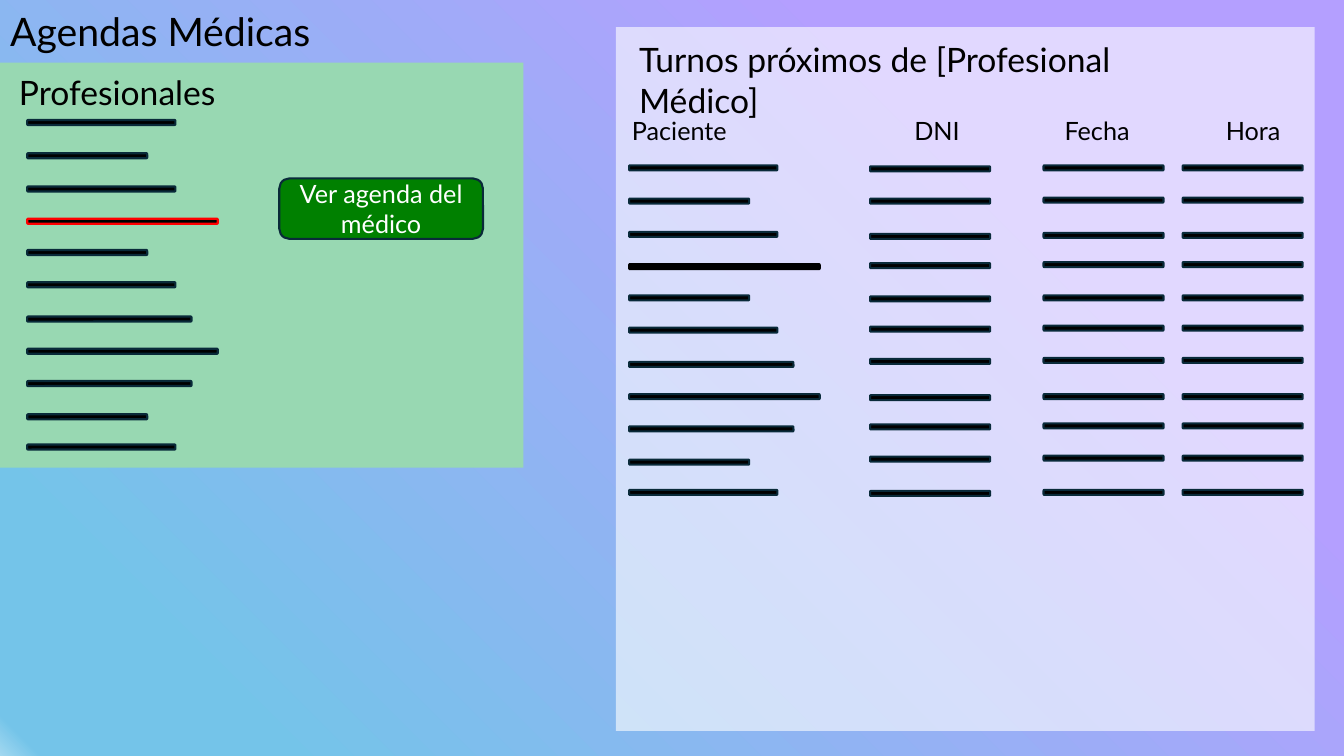
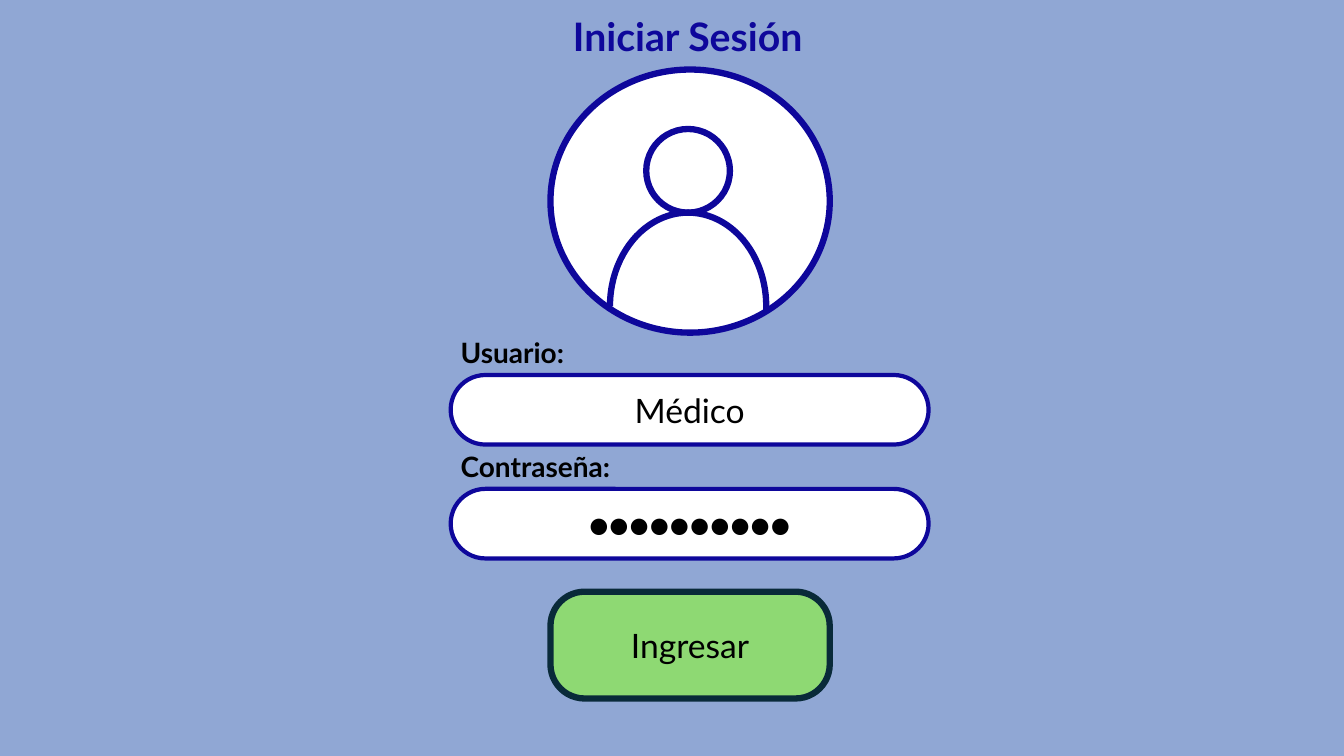
from dataclasses import dataclass
from typing import Optional

from lxml.etree import SubElement
from pptx import Presentation
from pptx.dml.color import RGBColor
from pptx.enum.shapes import MSO_SHAPE as Preset
from pptx.enum.text import MSO_ANCHOR as Anchor, MSO_AUTO_SIZE as AutoSize, PP_ALIGN as Align
from pptx.oxml.ns import qn
from pptx.util import Inches, Pt


@dataclass(frozen=True)
class Theme:
    font: str = "Lato"
    black: str = "000000"
    white: str = "FFFFFF"
    outline: str = "092A39"
    selected: str = "FF0000"
    mint: str = "98D8B2"
    green: str = "008000"
    lime: str = "8ED973"
    navy: str = "0E079B"
    login_background: str = "90A7D4"
    gradient: tuple = ((0, "B49FFF"), (25, "B49FFF"), (87, "74C4E9"), (98, "74C4E9"), (100, "A2D8F0"))
    title: int = 28
    heading: int = 24
    label: int = 20
    column: int = 18
    bar_line: float = 1.5
    field_line: float = 3
    thick_line: float = 4.5


THEME = Theme()


@dataclass(frozen=True)
class Box:
    left: float
    top: float
    width: float
    height: float

    def lengths(self) -> tuple:
        return tuple(Inches(value) for value in (self.left, self.top, self.width, self.height))


@dataclass(frozen=True)
class TextStyle:
    size: int
    color: str = THEME.black
    bold: bool = False
    align: Align = Align.LEFT
    anchor: Anchor = Anchor.TOP


@dataclass(frozen=True)
class ShapeStyle:
    fill: Optional[str] = None
    line: Optional[str] = None
    line_width: float = THEME.bar_line


@dataclass(frozen=True)
class Column:
    heading: str
    heading_left: float
    heading_width: float
    bar_left: float
    tops: tuple
    widths: tuple


TITLE = TextStyle(THEME.title)
LOGIN_TITLE = TextStyle(THEME.title, THEME.navy, True, Align.CENTER)
HEADING = TextStyle(THEME.heading)
COLUMN_HEADING = TextStyle(THEME.column)
FIELD_LABEL = TextStyle(THEME.label, bold=True)
FIELD_TEXT = TextStyle(THEME.heading, align=Align.CENTER, anchor=Anchor.MIDDLE)
BUTTON_TEXT = TextStyle(THEME.column, THEME.white, align=Align.CENTER, anchor=Anchor.MIDDLE)

BAR = ShapeStyle(THEME.black, THEME.outline)
FIELD = ShapeStyle(THEME.white, THEME.navy, THEME.field_line)
AVATAR = ShapeStyle(THEME.white, THEME.navy, THEME.thick_line)

BAR_HEIGHT = 0.05
SHORT, MEDIUM, LONG, LONGEST = 1.19, 1.47, 1.63, 1.89
SELECTED_ROW = 3
NAME_WIDTHS = (MEDIUM, SHORT, MEDIUM, LONGEST, SHORT, MEDIUM, LONG, LONGEST, LONG, SHORT, MEDIUM)
NAME_TOPS = (1.19, 1.52, 1.85, 2.17, 2.48, 2.8, 3.14, 3.46, 3.78, 4.11, 4.41)
PATIENT_TOPS = tuple(top + 0.45 for top in NAME_TOPS)
DATA_TOPS = (1.64, 1.96, 2.31, 2.6, 2.93, 3.23, 3.55, 3.91, 4.2, 4.52, 4.86)
DNI_TOPS = tuple(top + 0.01 for top in DATA_TOPS)
DATA_WIDTHS = (SHORT,) * len(DATA_TOPS)

COLUMNS = (
    Column("Paciente", 6.17, 1.57, 6.24, PATIENT_TOPS, NAME_WIDTHS),
    Column("DNI", 8.97, 0.86, 8.63, DNI_TOPS, DATA_WIDTHS),
    Column("Fecha", 10.46, 0.92, 10.35, DATA_TOPS, DATA_WIDTHS),
    Column("Hora", 12.06, 0.86, 11.73, DATA_TOPS, DATA_WIDTHS),
)


def write_text(shape, text: str, style: TextStyle) -> None:
    frame = shape.text_frame
    frame.word_wrap = True
    frame.auto_size = AutoSize.NONE
    frame.vertical_anchor = style.anchor
    frame.text = text
    paragraph = frame.paragraphs[0]
    paragraph.alignment = style.align
    font = paragraph.font
    font.name = THEME.font
    font.size = Pt(style.size)
    font.bold = style.bold
    font.color.rgb = RGBColor.from_string(style.color)


def add_title_slide(presentation, title: str, box: Box, style: TextStyle):
    slide = presentation.slides.add_slide(presentation.slide_layouts[5])
    shape = slide.shapes.title
    shape.left, shape.top, shape.width, shape.height = box.lengths()
    write_text(shape, title, style)
    return slide


def add_text(slide, text: str, box: Box, style: TextStyle) -> None:
    write_text(slide.shapes.add_textbox(*box.lengths()), text, style)


def add_preset(shapes, preset: Preset, box: Box, style: ShapeStyle, adjustments: tuple = ()):
    shape = shapes.add_shape(preset, *box.lengths())
    shape.shadow.inherit = False
    for index, value in enumerate(adjustments):
        shape.adjustments[index] = value
    if style.fill:
        shape.fill.solid()
        shape.fill.fore_color.rgb = RGBColor.from_string(style.fill)
    else:
        shape.fill.background()
    if style.line:
        shape.line.color.rgb = RGBColor.from_string(style.line)
        shape.line.width = Pt(style.line_width)
    else:
        shape.line.fill.background()
    return shape


def add_bars(slide, left: float, tops: tuple, widths: tuple, selected_line: str) -> None:
    for row, (top, width) in enumerate(zip(tops, widths)):
        line = selected_line if row == SELECTED_ROW else THEME.outline
        add_preset(slide.shapes, Preset.ROUNDED_RECTANGLE, Box(left, top, width, BAR_HEIGHT),
                   ShapeStyle(THEME.black, line))


def set_gradient_background(slide) -> None:
    fill = slide.background.fill
    fill.gradient()
    fill.gradient_angle = 225
    stops = slide.element.xpath(".//a:gsLst")[0]
    for stop in list(stops):
        stops.remove(stop)
    for position, color in THEME.gradient:
        stop = SubElement(stops, qn("a:gs"), pos=str(position * 1000))
        SubElement(stop, qn("a:srgbClr"), val=color)


def set_opacity(shape, percent: int) -> None:
    color = shape.element.spPr.find(qn("a:solidFill"))[0]
    SubElement(color, qn("a:alpha"), val=str(percent * 1000))


def build_agenda(presentation) -> None:
    slide = add_title_slide(presentation, "Agendas Médicas", Box(0, 0.02, 5.35, 0.57), TITLE)
    set_gradient_background(slide)

    add_preset(slide.shapes, Preset.RECTANGLE, Box(0, 0.62, 5.19, 4.02), ShapeStyle(THEME.mint))
    add_text(slide, "Profesionales", Box(0.09, 0.66, 2.93, 0.5), HEADING)
    add_bars(slide, 0.27, NAME_TOPS, NAME_WIDTHS, THEME.selected)
    button = add_preset(slide.shapes, Preset.ROUNDED_RECTANGLE, Box(2.77, 1.77, 2.02, 0.6),
                        ShapeStyle(THEME.green, THEME.outline))
    write_text(button, "Ver agenda del médico", BUTTON_TEXT)

    panel = add_preset(slide.shapes, Preset.RECTANGLE, Box(6.11, 0.27, 6.93, 6.98),
                       ShapeStyle(THEME.white))
    set_opacity(panel, 60)
    add_text(slide, "Turnos próximos de [Profesional Médico]", Box(6.24, 0.34, 6.04, 0.5), HEADING)
    for column in COLUMNS:
        add_text(slide, column.heading, Box(column.heading_left, 1.09, column.heading_width, 0.4),
                 COLUMN_HEADING)
        selected_line = THEME.black if column.widths == NAME_WIDTHS else THEME.outline
        add_bars(slide, column.bar_left, column.tops, column.widths, selected_line)


def add_avatar(slide) -> None:
    group = slide.shapes.add_group_shape()
    add_preset(group.shapes, Preset.OVAL, Box(5.46, 0.69, 2.77, 2.61), AVATAR)
    add_preset(group.shapes, Preset.OVAL, Box(6.41, 1.28, 0.83, 0.83), AVATAR)
    shoulders = add_preset(group.shapes, Preset.ARC, Box(6.05, 2.11, 1.55, 1.86),
                           ShapeStyle(None, THEME.navy, THEME.thick_line), (106.42, 0))
    shoulders.element.spPr.find(qn("a:xfrm")).set("flipH", "1")


def add_field(slide, label: str, value: str, top: float) -> None:
    add_text(slide, label, Box(4.47, top, 1.93, 0.44), FIELD_LABEL)
    field = add_preset(slide.shapes, Preset.ROUNDED_RECTANGLE, Box(4.47, top + 0.44, 4.74, 0.69),
                       FIELD, (0.5,))
    write_text(field, value, FIELD_TEXT)


def build_login(presentation) -> None:
    slide = add_title_slide(presentation, "Iniciar Sesión", Box(4.87, 0.07, 3.9, 0.57), LOGIN_TITLE)
    slide.background.fill.solid()
    slide.background.fill.fore_color.rgb = RGBColor.from_string(THEME.login_background)

    add_avatar(slide)
    add_field(slide, "Usuario:", "Médico", 3.28)
    add_field(slide, "Contraseña:", "●●●●●●●●●●", 4.41)
    button = add_preset(slide.shapes, Preset.ROUNDED_RECTANGLE, Box(5.46, 5.87, 2.77, 1.06),
                        ShapeStyle(THEME.lime, THEME.outline, THEME.thick_line), (0.32,))
    write_text(button, "Ingresar", FIELD_TEXT)


def main() -> None:
    presentation = Presentation()
    presentation.slide_width = Inches(13.33)
    presentation.slide_height = Inches(7.5)
    build_agenda(presentation)
    build_login(presentation)
    presentation.save("out.pptx")


if __name__ == "__main__":
    main()
